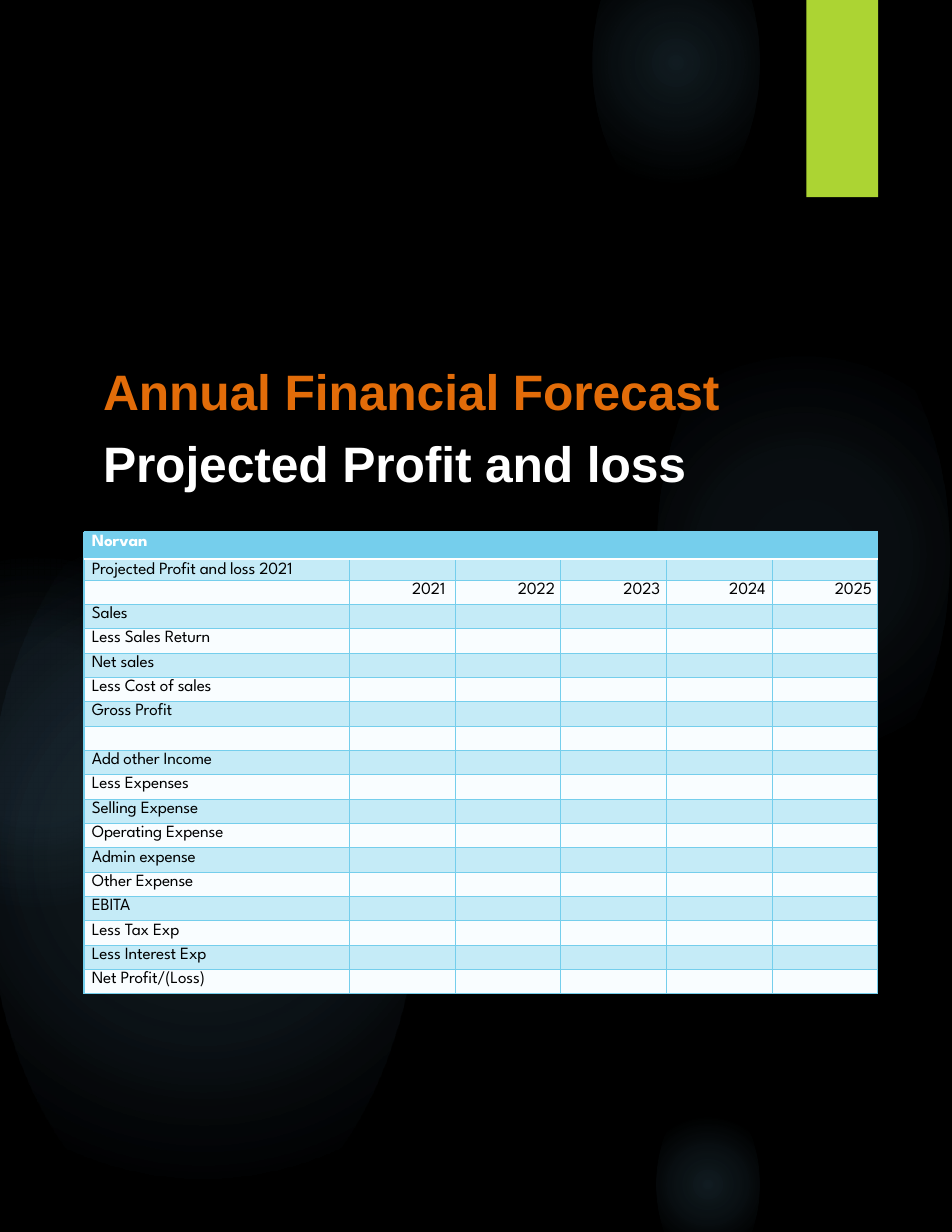
from lxml import etree
from pptx import Presentation
from pptx.dml.color import RGBColor
from pptx.enum.shapes import MSO_SHAPE as Shape
from pptx.enum.text import MSO_ANCHOR as Anchor, PP_ALIGN as Align
from pptx.oxml import parse_xml
from pptx.oxml.ns import nsdecls, qn
from pptx.util import Inches, Pt

COLORS = {
    "background": "000000", "glow": "7AC4F0", "accent": "ACD433",
    "orange": "E26C09", "white": "FFFFFF", "black": "000000",
    "line": "75CEEC", "band": "C5EBF7", "plain": "F9FDFF",
}


def color(name):
    return RGBColor.from_string(COLORS[name])


def write(paragraph, text, font, size, ink, bold=False, before=0, indent=0,
          line=None, tracking=-10):
    """Fill a paragraph with one run; an empty text only sets the line's size."""
    paragraph.alignment = Align.LEFT
    paragraph.space_before = Pt(before)
    if line:
        paragraph.line_spacing = Pt(line)
    properties = paragraph._p.get_or_add_pPr()
    properties.set("marL", str(Inches(indent)))
    properties.set("indent", "0")
    if not text:
        end = etree.SubElement(paragraph._p, qn("a:endParaRPr"))
        end.set("sz", str(size * 100))
        return
    run = paragraph.add_run()
    run.text = text
    run.font.name, run.font.size, run.font.bold = font, Pt(size), bold
    run.font.color.rgb = color(ink)
    run._r.get_or_add_rPr().set("spc", str(tracking))


prs = Presentation()
prs.slide_width, prs.slide_height = Inches(8.5), Inches(11)
slide = prs.slides.add_slide(prs.slide_layouts[5])
slide.background.fill.solid()
slide.background.fill.fore_color.rgb = color("background")

# Soft glows: left, top, width, height, then (position %, opacity %) stops
glows = [
    (5.86, 2.69, 2.62, 4.52, [(0, 7), (36, 6), (69, 0)]),
    (5.29, -0.73, 1.49, 2.57, [(0, 14), (36, 7), (73, 0)]),
    (5.86, 9.78, 0.92, 1.59, [(0, 14), (36, 7), (66, 0)]),
    (-0.14, 4.28, 3.9, 6.72, [(0, 11), (36, 10), (75, 0)]),
    (-0.78, 4.64, 2.2, 3.79, [(0, 8), (36, 8), (72, 0)]),
]
for *box, stops in glows:
    glow = slide.shapes.add_shape(Shape.OVAL, *map(Inches, box))
    glow.shadow.inherit = False
    glow.line.fill.background()
    stop_xml = "".join(
        f'<a:gs pos="{pos * 1000}"><a:srgbClr val="{COLORS["glow"]}">'
        f'<a:alpha val="{opacity * 1000}"/></a:srgbClr></a:gs>'
        for pos, opacity in stops)
    gradient = parse_xml(
        f'<a:gradFill {nsdecls("a")}><a:gsLst>{stop_xml}</a:gsLst>'
        '<a:path path="circle"><a:fillToRect l="50000" t="50000" r="50000" '
        'b="50000"/></a:path></a:gradFill>')
    glow._element.spPr.find(qn("a:prstGeom")).addnext(gradient)

accent_bar = slide.shapes.add_shape(
    Shape.RECTANGLE, Inches(7.2), 0, Inches(0.64), Inches(1.76))
accent_bar.shadow.inherit = False
accent_bar.fill.solid()
accent_bar.fill.fore_color.rgb = color("accent")
accent_bar.line.fill.background()

# Title, brought in front of the glows
title = slide.shapes.title
slide.shapes._spTree.append(title._element)
title.left, title.top = Inches(0.91), Inches(3.08)
title.width, title.height = Inches(7.26), Inches(1.33)
heading = title.text_frame
heading.word_wrap = True
heading.vertical_anchor = Anchor.TOP
heading.margin_left = heading.margin_right = heading.margin_bottom = 0
heading.margin_top = Inches(0.14)
write(heading.paragraphs[0], "Annual Financial Forecast", "Arial", 32, "orange",
      bold=True, before=10, indent=0.01)
write(heading.add_paragraph(), "Projected Profit and loss", "Arial", 32, "white",
      bold=True, before=8, indent=0.01)

# Forecast table
years = ["2021", "2022", "2023", "2024", "2025"]
labels = [
    "Norvan", "Projected Profit and loss 2021", "", "Sales", "Less Sales Return",
    "Net sales", "Less Cost of sales", "Gross Profit", "", "Add other Income",
    "Less Expenses", "Selling Expense", "Operating Expense", "Admin expense",
    "Other Expense", "EBITA", "Less Tax Exp", "Less Interest Exp",
    "Net Profit/(Loss)",
]
HEADER, SUBTITLE, YEARS = 0, 1, 2
table_width, table_height, label_width = 7.09, 4.13, 2.37
row_heights = {HEADER: 0.24, SUBTITLE: 0.19}
body_height = (table_height - sum(row_heights.values())) / (len(labels) - 2)

forecast = slide.shapes.add_table(
    len(labels), len(years) + 1, Inches(0.75), Inches(4.75),
    Inches(table_width), Inches(table_height)).table
forecast.horz_banding = False
for c, column in enumerate(forecast.columns):
    column.width = Inches(
        (table_width - label_width) / len(years) if c else label_width)

for r, label in enumerate(labels):
    forecast.rows[r].height = Inches(row_heights.get(r, body_height))
    row_texts = [label] + (years if r == YEARS else [""] * len(years))
    for c, text in enumerate(row_texts):
        cell = forecast.cell(r, c)
        cell.margin_left = cell.margin_right = cell.margin_bottom = 0
        cell.margin_top = Inches(0 if r == SUBTITLE else 0.02)
        write(cell.text_frame.paragraphs[0], text, "League Spartan", 11,
              "white" if r == HEADER else "black", bold=r == HEADER,
              before=0 if r == SUBTITLE else 1.4, indent=0.56 if c else 0.07,
              line=12.5 if r == SUBTITLE else None)
        for side in "LRTB":
            under_header = (r, side) in [(HEADER, "B"), (SUBTITLE, "T")]
            edge, weight = ("white", 1.5) if under_header else ("line", 0.75)
            cell._tc.get_or_add_tcPr().append(parse_xml(
                f'<a:ln{side} {nsdecls("a")} w="{Pt(weight)}"><a:solidFill>'
                f'<a:srgbClr val="{COLORS[edge]}"/></a:solidFill></a:ln{side}>'))
        cell.fill.solid()
        cell.fill.fore_color.rgb = color(
            "line" if r == HEADER else "band" if r % 2 else "plain")

prs.save("out.pptx")
